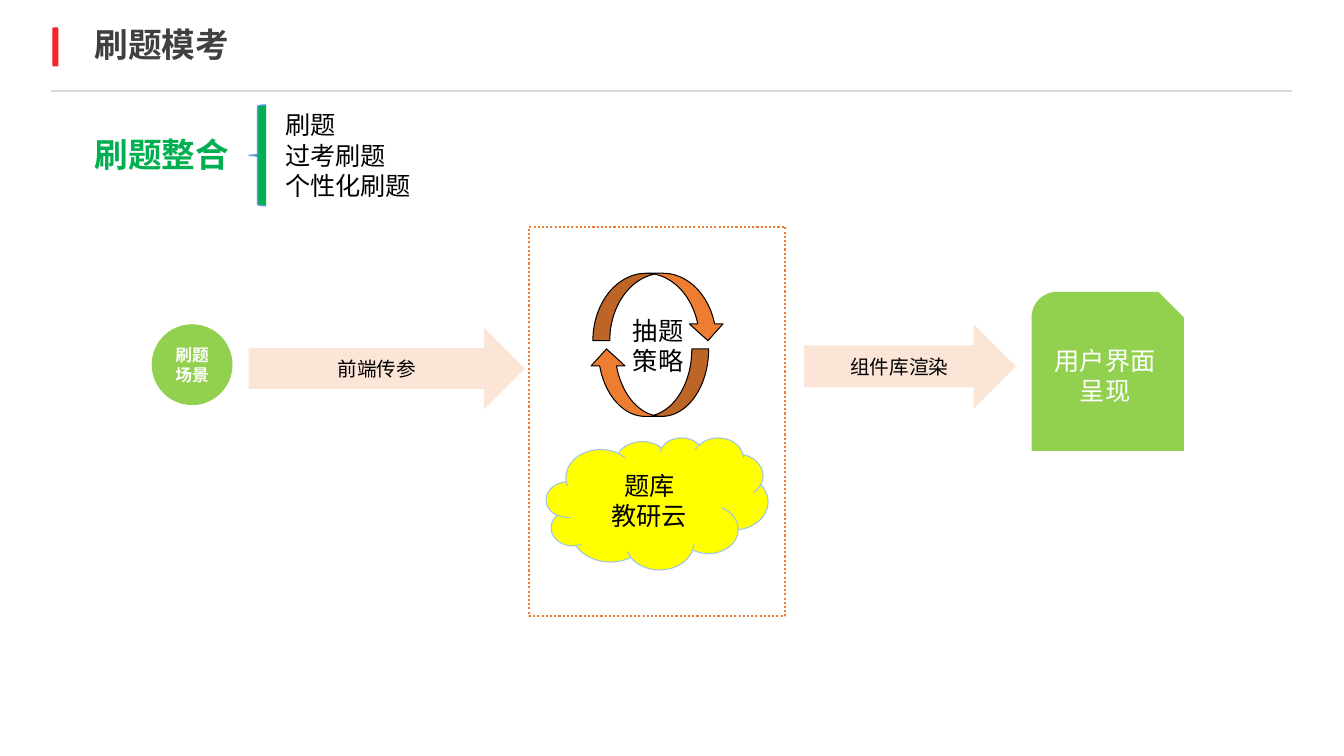
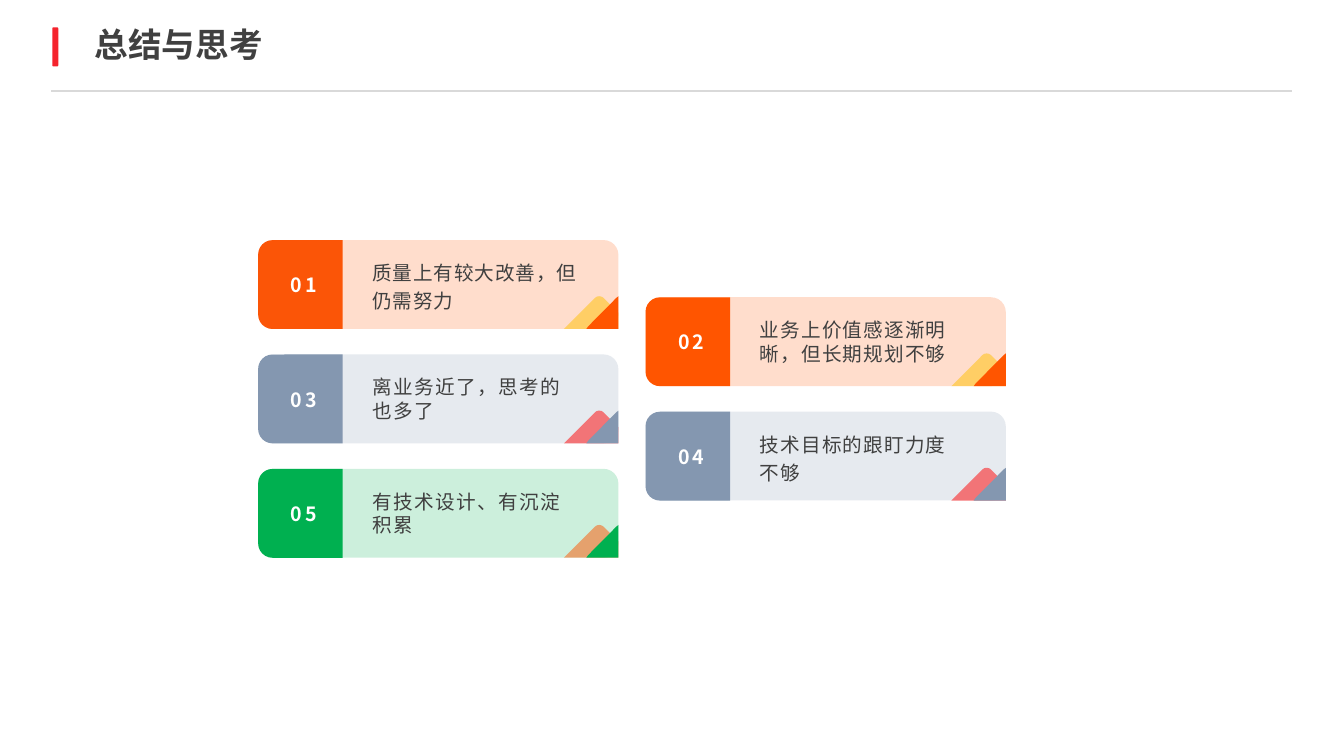
from lxml import etree
from pptx import Presentation
from pptx.dml.color import RGBColor
from pptx.enum.dml import MSO_LINE
from pptx.enum.shapes import MSO_CONNECTOR, MSO_SHAPE
from pptx.enum.text import MSO_ANCHOR, MSO_AUTO_SIZE, PP_ALIGN
from pptx.oxml.ns import qn
from pptx.util import Pt

LEFT, CENTER = PP_ALIGN.LEFT, PP_ALIGN.CENTER
MIDDLE = MSO_ANCHOR.MIDDLE
FIXED = MSO_AUTO_SIZE.NONE
DOTS = MSO_LINE.ROUND_DOT
STRAIGHT = MSO_CONNECTOR.STRAIGHT
BAR = MSO_SHAPE.ROUNDED_RECTANGLE
TAB = MSO_SHAPE.ROUND_2_SAME_RECTANGLE
OVAL = MSO_SHAPE.OVAL
ARROW = MSO_SHAPE.RIGHT_ARROW
CURVE = MSO_SHAPE.CURVED_DOWN_ARROW
CLOUD = MSO_SHAPE.CLOUD
PAGE = MSO_SHAPE.SNIP_ROUND_RECTANGLE
FRAME = MSO_SHAPE.RECTANGLE
BRACE = MSO_SHAPE.LEFT_BRACE

NOTO, ARIAL = "Noto Sans CJK SC", "Arial"
HUE = {
    "ink": "404040", "black": "000000", "white": "FFFFFF",
    "rule": "D9D9D9", "red": "F5232D", "green": "00B050",
    "lime": "92D050", "peach": "FBE5D6", "rust": "ED7D31",
    "lemon": "FFFF00", "sky": "9DC3E6", "blue": "5B9BD5",
    "flame": "FF5500", "ember": "FB5507", "slate": "8497B0",
    "gold": "FFC000", "pure": "FF0000",
}


def write(shape, text, size=18, color="black", font=NOTO, bold=False,
          align=LEFT, lead=None, track=0, wrap=True):
    """Fill a shape with text; lead is the line pitch in ems."""
    frame = shape.text_frame
    frame.word_wrap = wrap
    frame.auto_size = FIXED
    frame.vertical_anchor = MIDDLE
    for i, line in enumerate(text.split("\n")):
        para = frame.add_paragraph() if i else frame.paragraphs[0]
        para.alignment = align
        if lead:
            para.line_spacing = Pt(size * lead)
        run = para.add_run()
        run.text = line
        run.font.size = Pt(size)
        run.font.bold = bold
        run.font.color.rgb = RGBColor.from_string(HUE[color])
        run.font.name = font
        props = run.font._element
        etree.SubElement(props, qn("a:ea")).set("typeface", NOTO)
        if track:
            props.set("spc", str(round(track * 100)))


def paint(shape, fill=None, line=None, width=0.75, alpha=None):
    """Set fill, outline and opacity (in percent)."""
    shape.shadow.inherit = False
    if fill:
        shape.fill.solid()
        shape.fill.fore_color.rgb = RGBColor.from_string(HUE[fill])
    else:
        shape.fill.background()
    if alpha:
        tint = shape._element.spPr.find(qn("a:solidFill"))[0]
        etree.SubElement(tint, qn("a:alpha")).set("val", str(alpha * 1000))
    if line:
        shape.line.color.rgb = RGBColor.from_string(HUE[line])
        shape.line.width = Pt(width)
    else:
        shape.line.fill.background()


deck = Presentation()
deck.slide_width, deck.slide_height = Pt(960), Pt(540)

# Shared header: rule, red bar and title
pages = []
for name in ("刷题模考", "总结与思考"):
    slide = deck.slides.add_slide(deck.slide_layouts[5])
    rule = slide.shapes.add_connector(STRAIGHT, Pt(36.7), Pt(65), Pt(923), Pt(65))
    rule.line.color.rgb = RGBColor.from_string(HUE["rule"])
    rule.line.width = Pt(0.75)
    etree.SubElement(rule._element.spPr, qn("a:effectLst"))
    bar = slide.shapes.add_shape(BAR, Pt(37.4), Pt(19.5), Pt(4.3), Pt(28))
    bar.adjustments[0] = 0.22
    paint(bar, "red")
    title = slide.shapes.title
    title.left, title.top, title.width, title.height = Pt(60.5), Pt(15), Pt(560), Pt(33)
    write(title, name, size=24, color="ink", bold=True)
    pages.append(slide.shapes)
flow, recap = pages

# Flow: shapes as kind, box, fill, line, text, text format
dark = dict(font=ARIAL, align=CENTER, lead=1.2)
light = dict(dark, color="white")
steps = [
    (OVAL, (108.7, 232, 57, 57), "lime", "lime", "刷题场景",
     dict(light, size=12, bold=True)),
    (CURVE, (421.2, 249.2, 85, 48.2), "rust", "black", "", {}),
    (CURVE, (423.5, 195.2, 94.2, 48.2), "rust", "black", "", {}),
    (ARROW, (178, 234.7, 196.5, 57), "peach", "peach", "前端传参",
     dict(dark, size=14)),
    (CLOUD, (390.2, 312.5, 158.4, 94.3), "lemon", "sky", "题库\n教研云", dark),
    (ARROW, (574.5, 232.5, 150.5, 58.5), "peach", "peach", "组件库渲染",
     dict(dark, size=14)),
    (PAGE, (737.2, 208.8, 108, 113), "lime", "lime", "用户界面呈现", light),
    (BRACE, (178, 75, 12.2, 72), "green", "blue", "", {}),
]
for kind, box, fill, line, text, form in steps:
    step = flow.add_shape(kind, *map(Pt, box))
    paint(step, fill, line, 1 if kind == BRACE else 0.75)
    if text:
        write(step, text, **form)
    elif kind == CURVE and box[1] > 240:
        step.rotation = 180

# Flow: dotted frame around the core
frame = flow.add_shape(FRAME, Pt(378), Pt(162), Pt(183), Pt(278))
paint(frame, line="rust", width=1.5)
frame.line.dash_style = DOTS

# Flow: free labels
labels = [
    ((60.5, 92, 111.6, 36), "刷题整合",
     dict(size=24, color="green", bold=True, wrap=False)),
    ((445, 221.3, 51, 51), "抽题\n策略", dict(font=ARIAL, lead=1.2, wrap=False)),
    ((196.6, 74.2, 106, 73), "刷题\n过考刷题\n个性化刷题", dict(lead=1.2)),
]
for box, text, form in labels:
    write(flow.add_textbox(*map(Pt, box)), text, **form)

# Recap: cards step down, odd numbers left and even ones right
wide, tall, tab = 257.4, 63.5, 60.4
cards = [
    ("质量上有较大改善，但仍需努力", "flame", "ember", "gold", 1.45, 0.6),
    ("业务上价值感逐渐明晰，但长期规划不够", "flame", "flame", "gold", 1.2, 0.8),
    ("离业务近了，思考的也多了", "slate", "slate", "pure", 1.2, 1),
    ("技术目标的跟盯力度不够", "slate", "slate", "pure", 1.45, 0.8),
    ("有技术设计、有沉淀积累", "green", "green", "flame", 1.2, 1),
]
# Corner outlines, measured from the lower right corner of a card
peak = [(-38.9, 0), (-16.6, -22.3), (-15.4, -23.1), (-13.7, -23.4),
        (-12.1, -23.1), (-10.8, -22.3), (0, -11.5), (0, 0)]
wedge = [(-23, 0), (-21.6, -1.9), (-1.4, -22.3), (0, -23.4), (0, 0)]

for i, (text, hue, side, tip, lead, track) in enumerate(cards):
    x = 184.4 + 276.7 * (i % 2)
    y = 171.5 + 40.85 * i
    card = recap.add_shape(BAR, Pt(x), Pt(y), Pt(wide), Pt(tall))
    paint(card, hue, alpha=20)

    for edge, tone, alpha in ((peak, tip, 50), (wedge, hue, None)):
        dots = [(Pt(x + wide + dx), Pt(y + tall + dy)) for dx, dy in edge]
        path = recap.build_freeform(*dots[0])
        path.add_line_segments(dots[1:])
        paint(path.convert_to_shape(), tone, alpha=alpha)

    # Tab lies on its side, so its round corners face left
    shift = (tall - tab) / 2
    flap = recap.add_shape(TAB, Pt(x - shift), Pt(y + shift), Pt(tall), Pt(tab))
    flap.rotation = 270
    flap.adjustments[0] = 0.17
    paint(flap, side)

    note = recap.add_textbox(Pt(x + 74.6), Pt(y + 2.5), Pt(161.3), Pt(58.5))
    write(note, text, size=14, color="ink", lead=lead, track=track)
    num = recap.add_textbox(Pt(x + 6.5), Pt(y + 10), Pt(52), Pt(44))
    write(num, f"{i + 1:02}", size=14, color="white", bold=True,
          align=CENTER, track=2)

deck.save("out.pptx")
